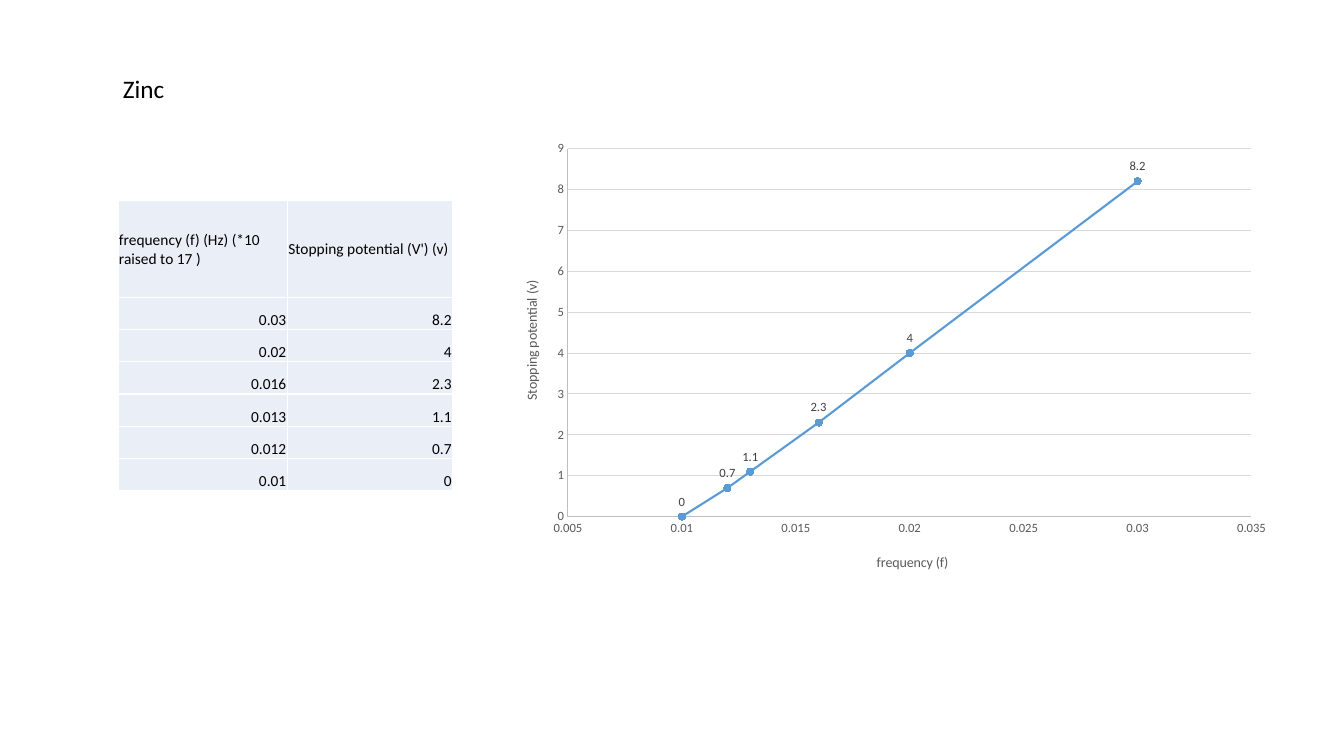
import pptx
import pptx.chart.data
import pptx.chart.datalabel
import pptx.dml.color
import pptx.enum.chart
import pptx.enum.text
import pptx.oxml
import pptx.oxml.ns
import pptx.util

Inches, Pt = pptx.util.Inches, pptx.util.Pt
C = {"text": "000000", "cell": "EAEFF7", "border": "FFFFFF", "series": "5B9BD5",
     "axis": "BFBFBF", "grid": "D9D9D9", "tick": "595959", "label": "404040"}
HEADERS = ["frequency (f) (Hz) (*10 raised to 17 )", "Stopping potential (V') (v)"]
POINTS = [(0.03, 8.2), (0.02, 4), (0.016, 2.3), (0.013, 1.1), (0.012, 0.7), (0.01, 0)]


def style_font(font, size, color):
    for name, value in {"name": "Calibri", "size": Pt(size), "bold": False}.items():
        setattr(font, name, value)
    font.color.rgb = pptx.dml.color.RGBColor.from_string(C[color])


def set_layout(parent, index, target, **shares):
    """Place a chart part by shares of the chart area."""
    for old in parent.findall(pptx.oxml.ns.qn("c:layout")):
        parent.remove(old)
    inner = '<c:layoutTarget val="inner"/>' if target else ""
    modes = "".join(f'<c:{k}Mode val="edge"/>' for k in "xy")
    sizes = "".join(f'<c:{k} val="{v}"/>' for k, v in shares.items())
    parent.insert(index, pptx.oxml.parse_xml(
        f'<c:layout {pptx.oxml.ns.nsdecls("c")}><c:manualLayout>'
        f'{inner}{modes}{sizes}</c:manualLayout></c:layout>'))


prs = pptx.Presentation()
prs.slide_width, prs.slide_height = Inches(13.33), Inches(7.5)
s = prs.slides.add_slide(prs.slide_layouts[6])

# Table of readings
head_h, row_h, col_w = 0.96, 0.32, (1.68, 1.64)
rows = [HEADERS] + POINTS
sp = s.shapes.add_table(len(rows), 2, Inches(1.17), Inches(1.99), Inches(sum(col_w)),
                        Inches(head_h + row_h * len(POINTS)))
table = sp.table
for col, width in zip(table.columns, col_w):
    col.width = Inches(width)
for i, values in enumerate(rows):
    table.rows[i].height = Inches(row_h if i else head_h)
    for j, value in enumerate(values):
        cell = table.cell(i, j)
        anchor = pptx.enum.text.MSO_ANCHOR.BOTTOM if i else pptx.enum.text.MSO_ANCHOR.MIDDLE
        fmt = {"margin_left": Inches(0.01), "margin_right": Inches(0.01),
               "margin_top": Inches(0.01), "margin_bottom": 0, "vertical_anchor": anchor}
        for name, setting in fmt.items():
            setattr(cell, name, setting)
        p = cell.text_frame.paragraphs[0]
        if i:
            p.alignment = pptx.enum.text.PP_ALIGN.RIGHT
        r = p.add_run()
        r.text = str(value)
        style_font(r.font, 11, "text")
        # Borders come before the fill in the cell properties
        tc_pr = cell._tc.get_or_add_tcPr()
        for side in ("lnL", "lnR", "lnT", "lnB"):
            tc_pr.append(pptx.oxml.parse_xml(
                f'<a:{side} {pptx.oxml.ns.nsdecls("a")} w="{Pt(1)}"><a:solidFill>'
                f'<a:srgbClr val="{C["border"]}"/></a:solidFill></a:{side}>'))
        cell.fill.solid()
        cell.fill.fore_color.rgb = pptx.dml.color.RGBColor.from_string(C["cell"])

# Scatter chart
data = pptx.chart.data.XyChartData()
series = data.add_series("Series 1")
for x, y in POINTS:
    series.add_data_point(x, y)
chart = s.shapes.add_chart(pptx.enum.chart.XL_CHART_TYPE.XY_SCATTER_LINES, Inches(5.05),
                           Inches(1.4), Inches(7.67), Inches(4.42), data).chart
chart.has_legend = chart.has_title = False
style_font(chart.font, 10, "text")
plot_area = chart._chartSpace.chart.plotArea
set_layout(plot_area, 0, True, x=0.076, y=0.017, w=0.884, h=0.826)

# Axes
axes = [(chart.category_axis, "frequency (f)", 0.005, 0.035, 0.005, (0.472, 0.92)),
        (chart.value_axis, "Stopping potential (v)", 0, 9, 1, (0.014, 0.307))]
for k, (axis, title, low, high, step, (x, y)) in enumerate(axes):
    fmt = {"minimum_scale": low, "maximum_scale": high, "major_unit": step,
           "has_major_gridlines": k == 1,
           "major_tick_mark": pptx.enum.chart.XL_TICK_MARK.NONE,
           "minor_tick_mark": pptx.enum.chart.XL_TICK_MARK.NONE}
    for name, setting in fmt.items():
        setattr(axis, name, setting)
    axis.tick_labels.number_format = "General"
    axis.tick_labels.number_format_is_linked = False
    style_font(axis.tick_labels.font, 9, "tick")
    r = axis.axis_title.text_frame.paragraphs[0].add_run()
    r.text = title
    style_font(r.font, 10, "tick")
    set_layout(axis.axis_title._element, 1, False, x=x, y=y)

# Lines, markers and labels
line = chart.plots[0].series[0]
line.smooth = False
strokes = [(chart.category_axis.format.line, "axis", 0.75),
           (chart.value_axis.format.line, "axis", 0.75),
           (chart.value_axis.major_gridlines.format.line, "grid", 0.75),
           (line.format.line, "series", 1.5), (line.marker.format.line, "series", 0.75)]
for stroke, color, width in strokes:
    stroke.color.rgb = pptx.dml.color.RGBColor.from_string(C[color])
    stroke.width = Pt(width)
line.marker.style = pptx.enum.chart.XL_MARKER_STYLE.CIRCLE
line.marker.size = 5
line.marker.format.fill.solid()
line.marker.format.fill.fore_color.rgb = pptx.dml.color.RGBColor.from_string(C["series"])
labels = pptx.chart.datalabel.DataLabels(line._element.get_or_add_dLbls())
labels.show_value = True
labels.position = pptx.enum.chart.XL_LABEL_POSITION.ABOVE
style_font(labels.font, 9, "label")

# Heading
tf = s.shapes.add_textbox(Inches(1.12), Inches(0.68), Inches(1.84), Inches(0.4)).text_frame
tf.word_wrap = True
r = tf.paragraphs[0].add_run()
r.text = "Zinc"
style_font(r.font, 18, "text")

prs.save("out.pptx")
